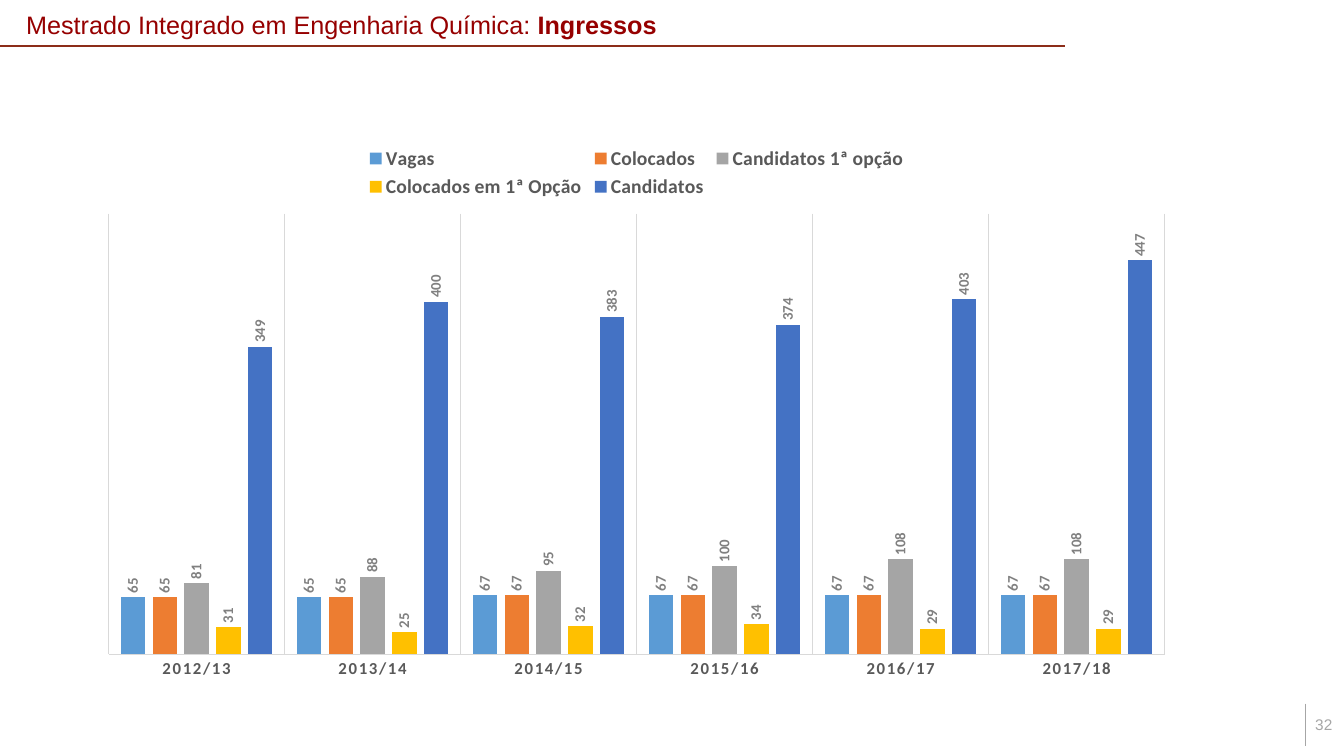
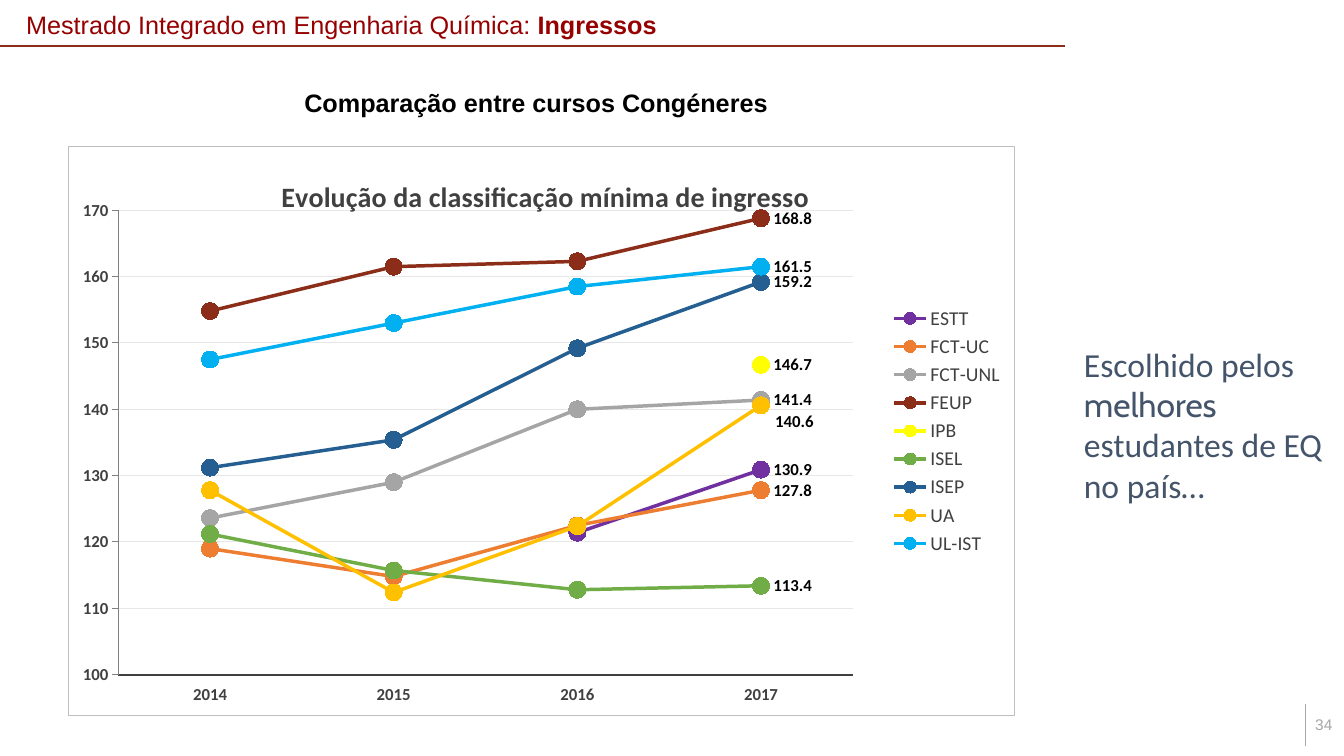
from lxml.etree import SubElement
from pptx import Presentation
from pptx.chart.data import CategoryChartData
from pptx.dml.color import RGBColor
from pptx.enum.chart import (XL_CHART_TYPE, XL_LABEL_POSITION, XL_LEGEND_POSITION,
                             XL_MARKER_STYLE, XL_TICK_LABEL_POSITION, XL_TICK_MARK)
from pptx.enum.shapes import MSO_CONNECTOR
from pptx.enum.text import MSO_ANCHOR, MSO_AUTO_SIZE, PP_ALIGN
from pptx.oxml import parse_xml
from pptx.oxml.ns import nsdecls, qn
from pptx.util import Inches, Pt

BLACK = RGBColor(0x00, 0x00, 0x00)
CRIMSON = RGBColor(0x96, 0x00, 0x00)
BRICK = RGBColor(0x8C, 0x2D, 0x19)
SLATE = RGBColor(0x44, 0x54, 0x6A)
CHARCOAL = RGBColor(0x40, 0x40, 0x40)
DARK_GREY = RGBColor(0x59, 0x59, 0x59)
MID_GREY = RGBColor(0x80, 0x80, 0x80)
NUMBER_GREY = RGBColor(0xA6, 0xA6, 0xA6)
GREY = RGBColor(0xA5, 0xA5, 0xA5)
GRID_GREY = RGBColor(0xD9, 0xD9, 0xD9)
PALE_GREY = RGBColor(0xE7, 0xE7, 0xE7)
ORANGE = RGBColor(0xED, 0x7D, 0x31)
AMBER = RGBColor(0xFF, 0xC0, 0x00)
YELLOW = RGBColor(0xFF, 0xFF, 0x00)
GREEN = RGBColor(0x70, 0xAD, 0x47)
PURPLE = RGBColor(0x70, 0x30, 0xA0)
LIGHT_BLUE = RGBColor(0x5B, 0x9B, 0xD5)
BLUE = RGBColor(0x44, 0x72, 0xC4)
NAVY = RGBColor(0x25, 0x5E, 0x91)
SKY = RGBColor(0x00, 0xB0, 0xF0)

SLIDE_SIZE = (13.33, 7.5)
TITLE_RUNS = [("Mestrado Integrado em Engenharia Química: ", False), ("Ingressos", True)]
RULES = [  # start, end, colour, width in points
    ((0, 0.46), (10.56, 0.46), BRICK, 1.5),
    ((12.95, 6.98), (12.95, 7.4), NUMBER_GREY, 0.5),
]

ADMISSION_YEARS = ["2012/13", "2013/14", "2014/15", "2015/16", "2016/17", "2017/18"]
ADMISSIONS = [
    ("Vagas", LIGHT_BLUE, [65, 65, 67, 67, 67, 67]),
    ("Colocados", ORANGE, [65, 65, 67, 67, 67, 67]),
    ("Candidatos 1ª opção", GREY, [81, 88, 95, 100, 108, 108]),
    ("Colocados em 1ª Opção", AMBER, [31, 25, 32, 34, 29, 29]),
    ("Candidatos", BLUE, [349, 400, 383, 374, 403, 447]),
]

GRADE_YEARS = ["2014", "2015", "2016", "2017"]
GRADES = [
    ("ESTT", PURPLE, [None, None, 121.4, 130.9]),
    ("FCT-UC", ORANGE, [119, 114.8, 122.5, 127.8]),
    ("FCT-UNL", GREY, [123.6, 129, 140, 141.4]),
    ("FEUP", BRICK, [154.8, 161.5, 162.3, 168.8]),
    ("IPB", YELLOW, [None, None, None, 146.7]),
    ("ISEL", GREEN, [121.2, 115.7, 112.8, 113.4]),
    ("ISEP", NAVY, [131.2, 135.4, 149.2, 159.2]),
    ("UA", AMBER, [127.8, 112.4, 122.4, 140.6]),
    ("UL-IST", SKY, [147.5, 153, 158.5, 161.5]),
]
LABEL_OFFSETS = {"UA": (0.002, 0.028)}
SUBTITLE = "Comparação entre cursos Congéneres"
GRADES_TITLE = "Evolução da classificação mínima de ingresso"
REMARK_RUNS = [("Escolhido pelos ", "Calibri"), ("melhores ", "Cabin"),
               ("estudantes de EQ no país…", "Calibri")]


def style_font(font, size, color, bold=False, name="Calibri"):
    font.name = name
    font.size = Pt(size)
    font.bold = bold
    font.color.rgb = color


def style_line(line, color, width):
    line.color.rgb = color
    line.width = Pt(width)


def add_run(paragraph, text, *style):
    run = paragraph.add_run()
    run.text = text
    style_font(run.font, *style)


def place(shape, left, top, width, height):
    shape.left, shape.top = Inches(left), Inches(top)
    shape.width, shape.height = Inches(width), Inches(height)


def add_text_box(slide, box, text, *style, alignment=PP_ALIGN.LEFT):
    frame = slide.shapes.add_textbox(*map(Inches, box)).text_frame
    frame.word_wrap = True
    paragraph = frame.paragraphs[0]
    paragraph.alignment = alignment
    add_run(paragraph, text, *style)


def add_master_rules(presentation, slide):
    """Draw the shared rules and hand them to the slide master."""
    for start, end, color, width in RULES:
        rule = slide.shapes.add_connector(MSO_CONNECTOR.STRAIGHT, *map(Inches, start + end))
        style_line(rule.line, color, width)
        SubElement(rule._element.spPr, qn("a:effectLst"))
        presentation.slide_master.shapes._spTree.append(rule._element)


def add_titled_slide(presentation, layout_index, number):
    slide = presentation.slides.add_slide(presentation.slide_layouts[layout_index])
    place(slide.shapes.title, 0.16, 0.06, 12, 0.4)
    frame = slide.shapes.title.text_frame
    frame.auto_size = MSO_AUTO_SIZE.NONE
    frame.vertical_anchor = MSO_ANCHOR.MIDDLE
    paragraph = frame.paragraphs[0]
    paragraph.alignment = PP_ALIGN.LEFT
    paragraph.line_spacing = 0.9
    for text, bold in TITLE_RUNS:
        add_run(paragraph, text, 18, CRIMSON, bold, "Arial")
    add_text_box(slide, (12.93, 7.05, 0.4, 0.29), str(number), 11, NUMBER_GREY, False, "Arial",
                 alignment=PP_ALIGN.CENTER)
    return slide


def add_series_chart(slide, kind, box, categories, rows):
    data = CategoryChartData()
    data.categories = categories
    for name, _, values in rows:
        data.add_series(name, values)
    chart = slide.shapes.add_chart(kind, *map(Inches, box), data).chart
    chart.font.name = "Calibri"
    chart.plots[0].vary_by_categories = False
    chart.has_legend = True
    chart.legend.include_in_layout = False
    return chart


def set_layout(parent, index, **values):
    """Give a chart part a manual layout, as shares of the chart's size."""
    for old in parent.findall(qn("c:layout")):
        parent.remove(old)
    layout = parse_xml(f"<c:layout {nsdecls('c')}><c:manualLayout/></c:layout>")
    for tag, value in values.items():
        SubElement(layout[0], qn(f"c:{tag}")).set("val", str(value))
    parent.insert(index, layout)


def add_admissions_chart(slide):
    chart = add_series_chart(slide, XL_CHART_TYPE.COLUMN_CLUSTERED, (0.86, 1.34, 10.91, 5.5),
                             ADMISSION_YEARS, ADMISSIONS)
    chart.has_title = False
    chart.legend.position = XL_LEGEND_POSITION.TOP
    style_font(chart.legend.font, 14, DARK_GREY, True)
    plot = chart.plots[0]
    plot.gap_width, plot.overlap = 100, -30

    years = chart.category_axis
    years.major_tick_mark = XL_TICK_MARK.NONE
    years.has_major_gridlines = True
    style_line(years.major_gridlines.format.line, GRID_GREY, 0.75)
    style_line(years.format.line, GRID_GREY, 0.75)
    style_font(years.tick_labels.font, 12, DARK_GREY, True)
    years._element.find(f".//{qn('a:defRPr')}").set("spc", "120")
    chart.value_axis.visible = False
    chart.value_axis.has_major_gridlines = False
    chart.value_axis.minimum_scale, chart.value_axis.maximum_scale = 0, 500

    for series, (_, color, _) in zip(plot.series, ADMISSIONS):
        series.format.fill.solid()
        series.format.fill.fore_color.rgb = color
        labels = series.data_labels
        labels.show_value = True
        labels.position = XL_LABEL_POSITION.OUTSIDE_END
        style_font(labels.font, 10.6, MID_GREY, True)
        body = labels._element.find(f".//{qn('a:bodyPr')}")
        body.set("rot", "-5400000")
        body.set("vert", "horz")


def style_grade_series(series, name, color):
    series.smooth = False
    style_line(series.format.line, color, 2.5)
    series.marker.style = XL_MARKER_STYLE.CIRCLE
    series.marker.size = 12
    series.marker.format.fill.solid()
    series.marker.format.fill.fore_color.rgb = color
    style_line(series.marker.format.line, color, 0.75)
    series.data_labels.show_value = False
    label = series.points[len(GRADE_YEARS) - 1].data_label
    style_font(label.font, 12, BLACK, True)
    label.position = XL_LABEL_POSITION.RIGHT
    if name in LABEL_OFFSETS:
        x, y = LABEL_OFFSETS[name]
        set_layout(series._element.find(f".//{qn('c:dLbl')}"), 1, x=x, y=y)


def add_grades_chart(slide):
    chart = add_series_chart(slide, XL_CHART_TYPE.LINE_MARKERS, (0.67, 1.45, 9.4, 5.65),
                             GRADE_YEARS, GRADES)
    chart.has_title = True
    add_run(chart.chart_title.text_frame.paragraphs[0], GRADES_TITLE, 20, CHARCOAL, True)
    chart.legend.position = XL_LEGEND_POSITION.RIGHT
    style_font(chart.legend.font, 14, CHARCOAL)

    years, grades = chart.category_axis, chart.value_axis
    years.major_tick_mark = XL_TICK_MARK.NONE
    years.tick_label_position = XL_TICK_LABEL_POSITION.LOW
    grades.major_tick_mark = XL_TICK_MARK.OUTSIDE
    grades.minimum_scale, grades.maximum_scale, grades.major_unit = 100, 170, 10
    style_line(grades.major_gridlines.format.line, PALE_GREY, 0.75)
    for axis, color, width in ((years, CHARCOAL, 1.5), (grades, MID_GREY, 0.75)):
        style_line(axis.format.line, color, width)
        style_font(axis.tick_labels.font, 12, CHARCOAL, True)

    for series, (name, color, _) in zip(chart.plots[0].series, GRADES):
        style_grade_series(series, name, color)

    chart_part = chart._chartSpace.find(qn("c:chart"))
    set_layout(chart_part.find(qn("c:title")), 1, xMode="edge", yMode="edge", x=0.22, y=0.045)
    set_layout(chart_part.find(qn("c:plotArea")), 0, layoutTarget="inner", xMode="edge",
               yMode="edge", x=0.053, y=0.112, w=0.776, h=0.817)
    chart_part.addnext(parse_xml(
        f'<c:spPr {nsdecls("c", "a")}><a:noFill/><a:ln w="{Pt(0.75)}"><a:solidFill>'
        '<a:srgbClr val="BFBFBF"/></a:solidFill></a:ln></c:spPr>'))


def fill_remark(placeholder):
    place(placeholder, 10.56, 3.36, 2.77, 2.46)
    frame = placeholder.text_frame
    frame.auto_size = MSO_AUTO_SIZE.NONE
    frame.vertical_anchor = MSO_ANCHOR.TOP
    paragraph = frame.paragraphs[0]
    properties = paragraph._p.get_or_add_pPr()
    properties.set("marL", str(Inches(0.09)))
    properties.set("indent", "0")
    SubElement(properties, qn("a:buNone"))
    paragraph.space_before = Pt(0)
    for text, font_name in REMARK_RUNS:
        add_run(paragraph, text, 24, SLATE, False, font_name)


def main():
    presentation = Presentation()
    presentation.slide_width, presentation.slide_height = map(Inches, SLIDE_SIZE)

    admissions = add_titled_slide(presentation, 5, 32)
    add_master_rules(presentation, admissions)
    add_admissions_chart(admissions)

    comparison = add_titled_slide(presentation, 1, 34)
    fill_remark(comparison.placeholders[1])
    add_text_box(comparison, (2.92, 0.82, 6.43, 0.4), SUBTITLE, 18, BLACK, True, "Arial")
    add_grades_chart(comparison)

    presentation.save("out.pptx")


if __name__ == "__main__":
    main()
